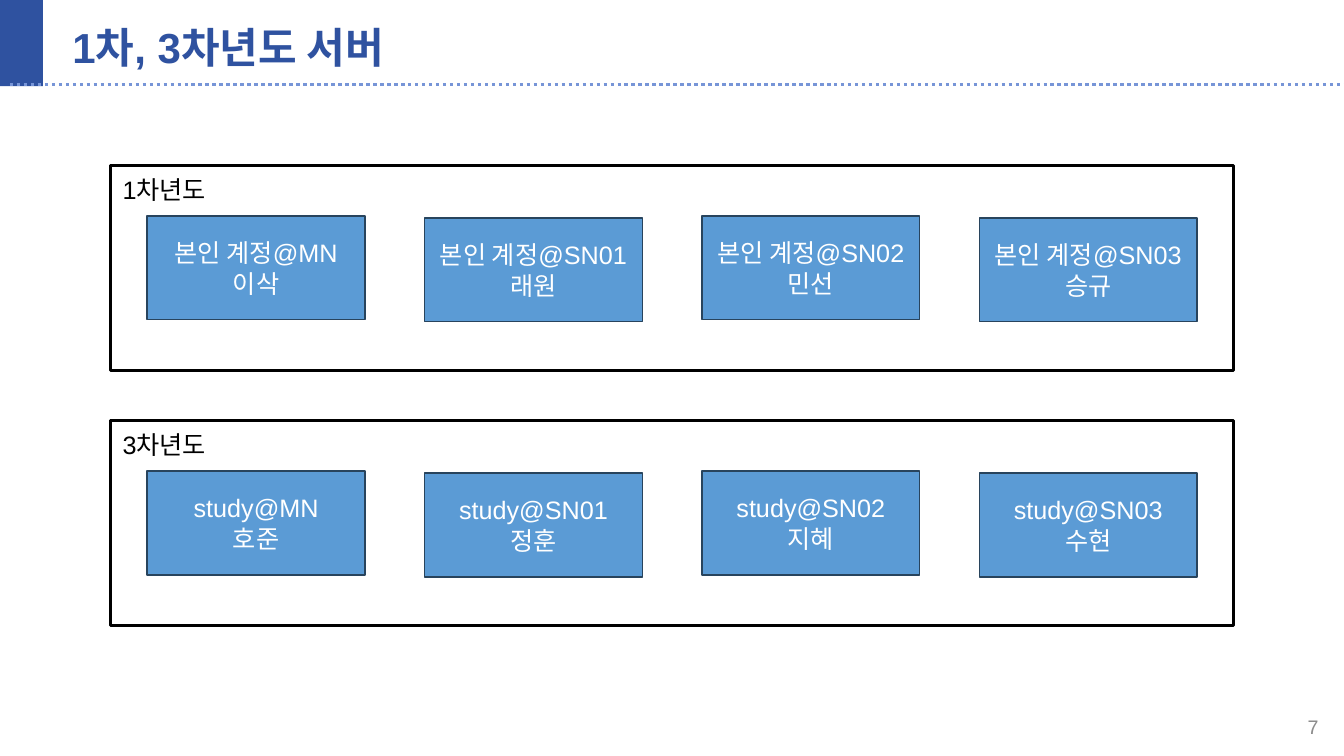
from pptx import Presentation
from pptx.dml.color import RGBColor
from pptx.enum.dml import MSO_LINE
from pptx.enum.shapes import MSO_CONNECTOR, MSO_SHAPE
from pptx.enum.text import MSO_ANCHOR, MSO_AUTO_SIZE, PP_ALIGN
from pptx.oxml.ns import qn
from pptx.util import Cm, Pt

NAVY = RGBColor(0x2F, 0x52, 0xA0)
DOTTED_BLUE = RGBColor(0x77, 0x95, 0xD7)
CARD_BLUE = RGBColor(0x5B, 0x9B, 0xD5)
CARD_EDGE = RGBColor(0x28, 0x44, 0x5D)
BLACK = RGBColor(0, 0, 0)
WHITE = RGBColor(0xFF, 0xFF, 0xFF)
GRAY = RGBColor(0x8C, 0x8C, 0x8C)
RECTANGLE = MSO_SHAPE.RECTANGLE
LEFT, CENTER, RIGHT = PP_ALIGN.LEFT, PP_ALIGN.CENTER, PP_ALIGN.RIGHT
TOP, MIDDLE = MSO_ANCHOR.TOP, MSO_ANCHOR.MIDDLE


def add_rectangle(left, top, width, height, fill, edge, edge_width):
    box = page.shapes.add_shape(RECTANGLE, Cm(left), Cm(top), Cm(width), Cm(height))
    box.shadow.inherit = False
    for part, color in ((box.fill, fill), (box.line.fill, edge)):
        if color is None:
            part.background()
        else:
            part.solid()
            part.fore_color.rgb = color
    if edge is not None:
        box.line.width = Pt(edge_width)
    return box


def write_text(box, lines, size, color, align, anchor, bold=False):
    frame = box.text_frame
    frame.text = "\n".join(lines)
    frame_format = {"word_wrap": True, "auto_size": MSO_AUTO_SIZE.NONE,
                    "vertical_anchor": anchor}
    for name, value in frame_format.items():
        setattr(frame, name, value)
    for para in frame.paragraphs:
        para.alignment = align
        font = para.runs[0].font
        for name, value in {"name": "Arial", "size": Pt(size), "bold": bold}.items():
            setattr(font, name, value)
        font.color.rgb = color


deck = Presentation()
deck.slide_width, deck.slide_height = Cm(33.87), Cm(19.05)
page = deck.slides.add_slide(deck.slide_layouts[5])

# Header: corner block, dotted rule and title
add_rectangle(0, 0, 1.08, 2.17, NAVY, None, 0)
rule = page.shapes.add_connector(MSO_CONNECTOR.STRAIGHT, Cm(0.25), Cm(2.13), Cm(33.87), Cm(2.13))
rule.line.color.rgb = DOTTED_BLUE
rule.line.width = Pt(2.5)
rule.line.dash_style = MSO_LINE.ROUND_DOT
properties = rule.element.spPr
properties.append(properties.makeelement(qn("a:effectLst"), {}))

title = page.shapes.title
title.left, title.top, title.width, title.height = Cm(1.57), Cm(0.51), Cm(29.21), Cm(1.35)
write_text(title, ["1차, 3차년도 서버"], 30, NAVY, LEFT, MIDDLE, bold=True)

# Page number
number = page.shapes.add_textbox(Cm(25.86), Cm(17.81), Cm(7.62), Cm(1.02))
write_text(number, ["7"], 14, GRAY, RIGHT, MIDDLE)

# One framed group of servers per project year
HOSTS = ["MN", "SN01", "SN02", "SN03"]
YEARS = [
    ("1차년도", "본인 계정", ["이삭", "래원", "민선", "승규"]),
    ("3차년도", "study", ["호준", "정훈", "지혜", "수현"]),
]
FRAME_TOP, FRAME_STEP = 4.17, 6.43
CARD_LEFT, CARD_STEP = 3.71, 6.99

for row, (year, account, owners) in enumerate(YEARS):
    top = FRAME_TOP + row * FRAME_STEP
    for column, (host, owner) in enumerate(zip(HOSTS, owners)):
        # Every second card sits slightly lower
        card_top = top + 1.27 + 0.05 * (column % 2)
        card = add_rectangle(CARD_LEFT + column * CARD_STEP, card_top, 5.49, 2.62,
                             CARD_BLUE, CARD_EDGE, 1)
        write_text(card, [f"{account}@{host}", owner], 18, WHITE, CENTER, MIDDLE)
    add_rectangle(2.79, top, 28.3, 5.16, None, BLACK, 2.25)
    label = page.shapes.add_textbox(Cm(2.84), Cm(top + 0.1), Cm(5.74), Cm(1.8))
    write_text(label, [year], 18, BLACK, LEFT, TOP)

deck.save("out.pptx")
